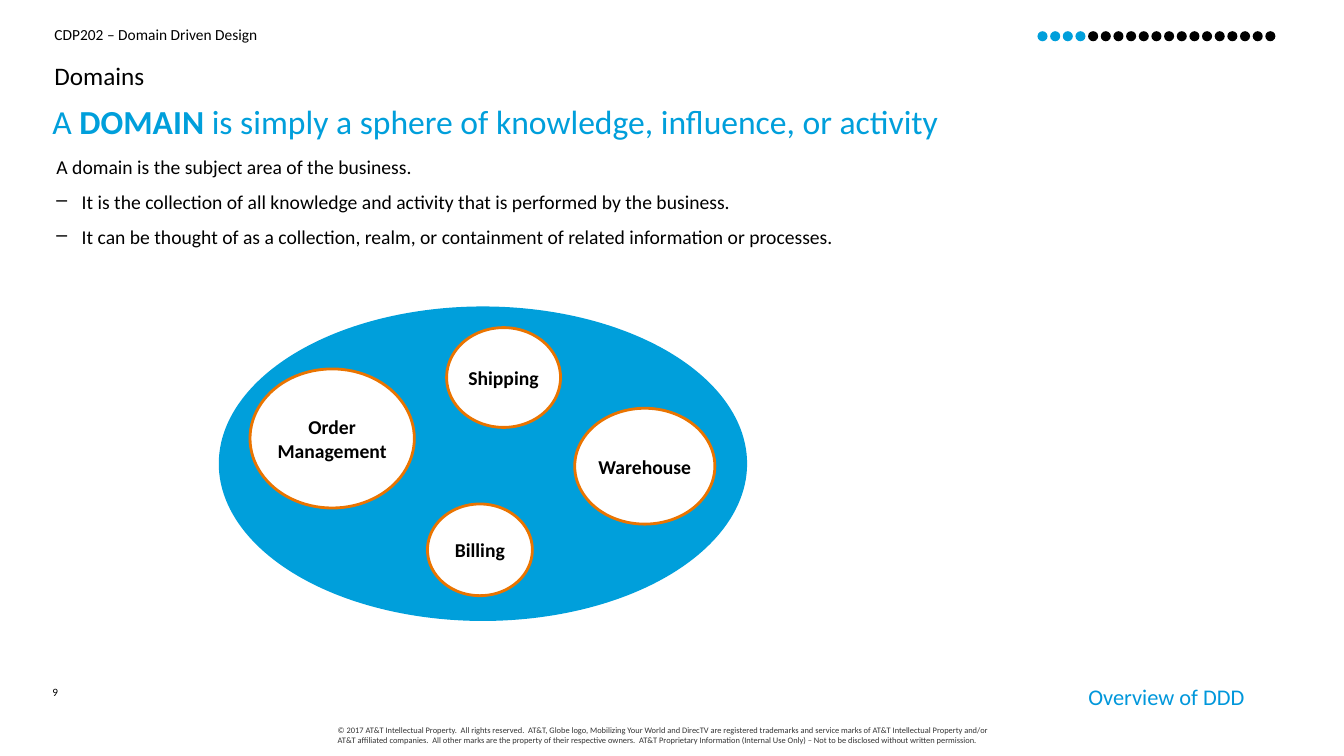
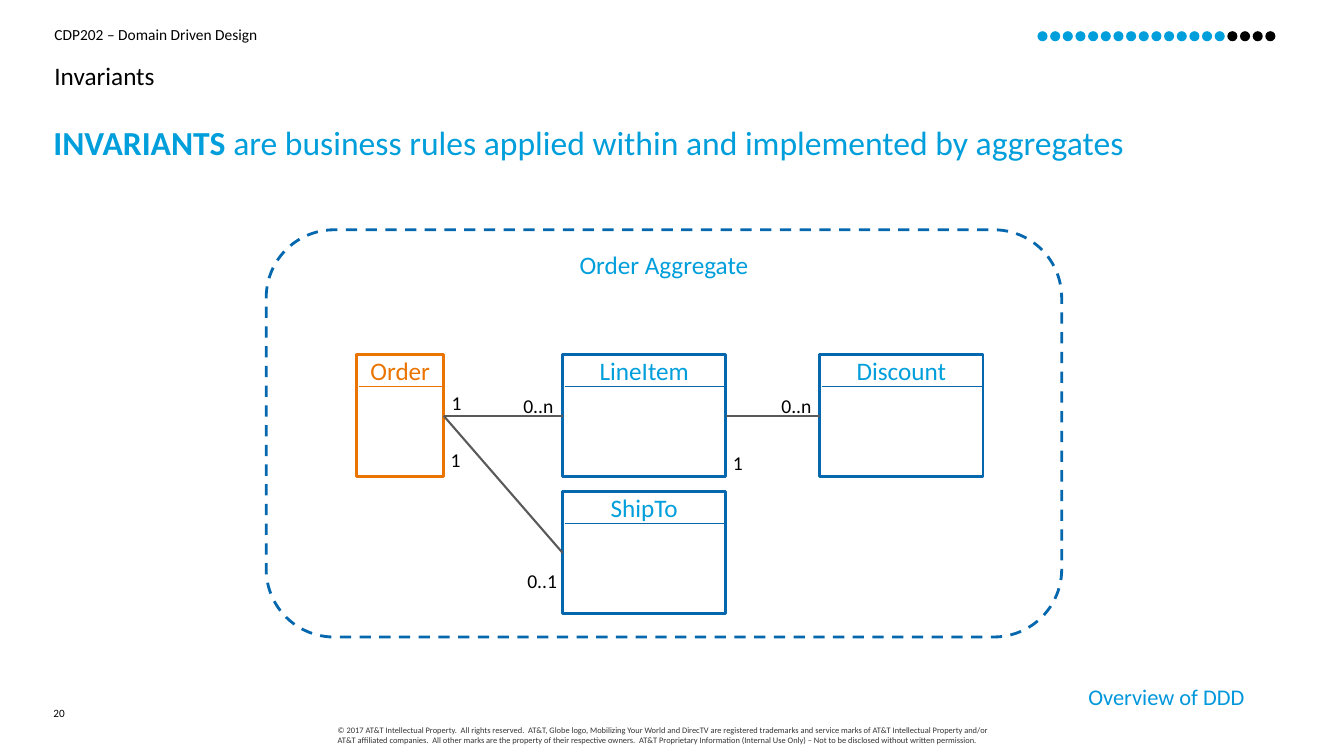
from pptx import Presentation
from pptx.dml.color import RGBColor
from pptx.enum.dml import MSO_LINE
from pptx.enum.shapes import MSO_CONNECTOR, MSO_SHAPE
from pptx.enum.text import MSO_ANCHOR, PP_ALIGN
from pptx.oxml.ns import qn
from pptx.util import Inches, Pt
from lxml.etree import SubElement

OVAL, RECT, ROUND = MSO_SHAPE.OVAL, MSO_SHAPE.RECTANGLE, MSO_SHAPE.ROUNDED_RECTANGLE
LEFT, CENTER, RIGHT = PP_ALIGN.LEFT, PP_ALIGN.CENTER, PP_ALIGN.RIGHT
TOP, MIDDLE = MSO_ANCHOR.TOP, MSO_ANCHOR.MIDDLE
STRAIGHT, DASH = MSO_CONNECTOR.STRAIGHT, MSO_LINE.DASH

BLACK = RGBColor(0x00, 0x00, 0x00)
WHITE = RGBColor(0xFF, 0xFF, 0xFF)
SKY = RGBColor(0x00, 0x9F, 0xDB)
OCEAN = RGBColor(0x00, 0x97, 0xDB)
NAVY = RGBColor(0x05, 0x68, 0xAE)
ORANGE = RGBColor(0xEA, 0x74, 0x00)
GRAY = RGBColor(0x5A, 0x5A, 0x5A)
DARK = RGBColor(0x34, 0x34, 0x34)
FONT = "Calibri"

COURSE = "CDP202 – Domain Driven Design"
TOPIC = "Overview of DDD"
LEGAL = (
    "© 2017 AT&T Intellectual Property.  All rights reserved.  AT&T, Globe logo, "
    "Mobilizing Your World and DirecTV are registered trademarks and service marks of "
    "AT&T Intellectual Property and/or AT&T affiliated companies.  All other marks are "
    "the property of their respective owners.  AT&T Proprietary Information (Internal "
    "Use Only) – Not to be disclosed without written permission."
)
DOTS, DOT, FIRST, LAST = 19, 0.1, 10.29, 12.55

POINTS = [
    "A domain is the subject area of the business.",
    "– It is the collection of all knowledge and activity that is performed by the business.",
    "– It can be thought of as a collection, realm, or containment of related information or processes.",
]
AREAS = [
    ("Order Management", (2.48, 3.66, 1.63, 1.38)),
    ("Shipping", (4.43, 3.25, 1.13, 0.99)),
    ("Billing", (4.24, 5, 1.04, 0.91)),
    ("Warehouse", (5.7, 4.05, 1.39, 1.15)),
]

TALL, HEAD = 1.21, 0.31
ROWS = (3.52, 4.88)
CLASSES = [
    ("Order", 3.54, 0, 0.86, ORANGE, ORANGE),
    ("LineItem", 5.58, 0, 1.62, NAVY, SKY),
    ("ShipTo", 5.58, 1, 1.62, NAVY, SKY),
    ("Discount", 8.13, 0, 1.62, NAVY, SKY),
]
LINKS = [("Order", "LineItem"), ("Order", "ShipTo"), ("LineItem", "Discount")]
COUNTS = [
    ("0..n", 5.19, 3.91), ("0..n", 7.75, 3.91), ("1", 7.27, 4.47),
    ("1", 4.48, 3.88), ("0..1", 5.23, 5.64), ("1", 4.47, 4.44),
]


def write(shape, *lines, size=14, color=BLACK, bold=False, align=LEFT,
          anchor=TOP, wrap=True, inset=(0, 0), space=None, after=0):
    frame = shape.text_frame
    frame.word_wrap = wrap
    frame.vertical_anchor = anchor
    frame.margin_left = frame.margin_right = Inches(inset[0])
    frame.margin_top = frame.margin_bottom = Inches(inset[1])
    for i, line in enumerate(lines):
        para = frame.add_paragraph() if i else frame.paragraphs[0]
        para.alignment = align
        para.space_after = Pt(after)
        if space:
            para.line_spacing = space
        if line.startswith("– "):
            line = line[2:]
            props = para._p.get_or_add_pPr()
            props.set("marL", str(Inches(0.25)))
            props.set("indent", str(-Inches(0.25)))
            SubElement(props, qn("a:buChar")).set("char", "–")
        for j, part in enumerate(line.split("*")):
            if part:
                run = para.add_run()
                run.text = part
                run.font.name = FONT
                run.font.size = Pt(size)
                run.font.bold = bold or j % 2 == 1
                run.font.color.rgb = color


def label(slide, area, *lines, **style):
    box = slide.shapes.add_textbox(*map(Inches, area))
    write(box, *lines, **style)


def draw(slide, kind, area, fill, edge=None):
    shape = slide.shapes.add_shape(kind, *map(Inches, area))
    shape.shadow.inherit = False
    shape.fill.solid()
    shape.fill.fore_color.rgb = fill
    if edge:
        shape.line.color.rgb = edge
        shape.line.width = Pt(2)
    else:
        shape.line.fill.background()
    return shape


def rule(slide, ends, color, width):
    line = slide.shapes.add_connector(STRAIGHT, *map(Inches, ends))
    line.line.color.rgb = color
    line.line.width = Pt(width)
    SubElement(line._element.spPr, qn("a:effectLst"))
    return line


def start(deck, title, lead, spot, page, place, done):
    slide = deck.slides.add_slide(deck.slide_layouts[6])
    label(slide, (0.54, 0.25, 9, 0.2), COURSE, size=11)
    label(slide, (3.35, 7.19, 6.64, 0.24), LEGAL, size=6, color=DARK)
    label(slide, (*place, 0.32, 0.25), page, size=8, space=Pt(10))
    label(slide, (*spot, 12.26, 0.42), lead, size=24, color=SKY, space=0.9)
    label(slide, (0.54, 0.57, 12.26, 0.37), title, size=18, space=1.1)
    label(slide, (10.15, 6.73, 2.29, 0.37), TOPIC, size=16, color=OCEAN,
          align=RIGHT, inset=(0.1, 0.05))
    step = (LAST - FIRST) / (DOTS - 1)
    for i in range(DOTS):
        draw(slide, OVAL, (FIRST + i * step, 0.31, DOT, DOT), SKY if i < done else BLACK)
    return slide


def domains(deck):
    slide = start(deck, "Domains",
                  "A *DOMAIN* is simply a sphere of knowledge, influence, or activity",
                  (0.52, 1.05), "9", (0.52, 6.79), 4)
    label(slide, (0.56, 1.54, 7.98, 1.1), *POINTS, after=8)
    draw(slide, OVAL, (2.17, 3.04, 5.24, 3.12), SKY)
    for name, area in AREAS:
        oval = draw(slide, OVAL, area, WHITE, ORANGE)
        write(oval, name, bold=True, align=CENTER, anchor=MIDDLE)


def rules(deck):
    slide = start(deck, "Invariants",
                  "*INVARIANTS* are business rules applied within and implemented by aggregates",
                  (0.53, 1.25), "20", (0.53, 7), 15)
    frame = draw(slide, ROUND, (2.64, 2.28, 7.89, 4.04), WHITE, NAVY)
    frame.line.dash_style = DASH
    write(frame, "Order Aggregate", size=18, color=SKY, align=CENTER)
    boxes = {}
    for name, x, row, wide, edge, color in CLASSES:
        y = ROWS[row]
        boxes[name] = draw(slide, RECT, (x, y, wide, TALL), WHITE, edge)
        write(boxes[name], name, size=18, color=color, align=CENTER)
        rule(slide, (x + 0.02, y + HEAD, x + wide, y + HEAD), edge, 0.75)
    for source, target in LINKS:
        link = rule(slide, (0, 0, 1, 1), GRAY, 1.5)
        link.begin_connect(boxes[source], 3)
        link.end_connect(boxes[target], 1)
    for count, x, y in COUNTS:
        label(slide, (x, y, 0.1 if count == "1" else 0.3, 0.24), count, wrap=False)


def main():
    deck = Presentation()
    deck.slide_width, deck.slide_height = Inches(13.33), Inches(7.5)
    domains(deck)
    rules(deck)
    deck.save("out.pptx")


if __name__ == "__main__":
    main()
